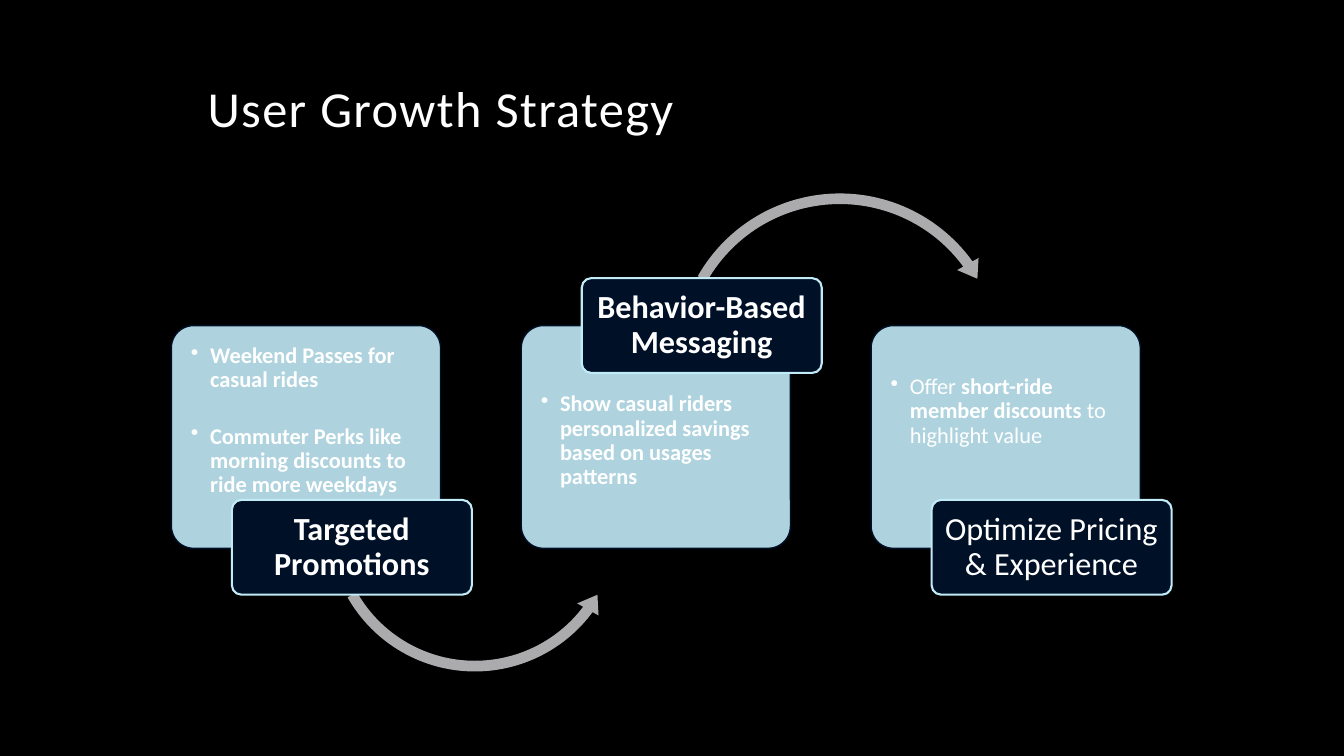
from lxml import etree
from pptx import Presentation
from pptx.dml.color import RGBColor
from pptx.enum.shapes import MSO_SHAPE
from pptx.enum.text import MSO_ANCHOR, PP_ALIGN
from pptx.oxml.ns import qn
from pptx.util import Inches, Pt

ROUND_RECT = MSO_SHAPE.ROUNDED_RECTANGLE
TOP, MIDDLE, BOTTOM = MSO_ANCHOR.TOP, MSO_ANCHOR.MIDDLE, MSO_ANCHOR.BOTTOM
LEFT, CENTER = PP_ALIGN.LEFT, PP_ALIGN.CENTER

BLACK = RGBColor(0x00, 0x00, 0x00)
WHITE = RGBColor(0xFF, 0xFF, 0xFF)
NAVY = RGBColor(0x00, 0x10, 0x27)
ICE = RGBColor(0xC1, 0xEB, 0xF7)
GRAY = RGBColor(0xAB, 0xAB, 0xAD)

# Content: each paragraph is a list of (text, bold) runs
TITLE = "User Growth Strategy"
STEPS = [
    {"label": ("Targeted Promotions", True), "label_top": 4.96, "text_inset": 0.12,
     "bullets": [[("Weekend Passes for casual rides", True)],
                 [("Commuter Perks like morning discounts to ride more weekdays", True)]]},
    {"label": ("Behavior-Based Messaging", True), "label_top": 2.76, "text_inset": 0.6,
     "bullets": [[("Show casual riders personalized savings based on usages patterns", True)]]},
    {"label": ("Optimize Pricing & Experience", False), "label_top": 4.96, "text_inset": 0.43,
     "bullets": [[("Offer ", False), ("short-ride member discounts", True),
                  (" to highlight value", False)]]},
]
# Arrow leaving each step: shape, left, top, size, adjustments
ARROWS = [
    (MSO_SHAPE.LEFT_CIRCULAR_ARROW, 3.19, 3.69, 3.04, (0.035, 4.277, 22.032, 90.245, 0.04)),
    (MSO_SHAPE.CIRCULAR_ARROW, 6.64, 1.85, 3.38, (0.031, 3.813, 194.431, 125.755, 0.036)),
]

# Layout
PANEL_LEFT, PANEL_TOP, PANEL_W, PANEL_H = 1.7, 3.23, 2.67, 2.21
STEP_PITCH = 3.47
LABEL_SHIFT, LABEL_W, LABEL_H = 0.6, 2.38, 0.94
BULLET_INDENT = Inches(0.19)
BULLET_GAP = Pt(23)


def add_box(shape_type, left, top, width, height, fill, line=None, line_width=1):
    sp = slide.shapes.add_shape(shape_type, Inches(left), Inches(top),
                                Inches(width), Inches(height))
    sp.shadow.inherit = False
    sp.fill.solid()
    sp.fill.fore_color.rgb = fill
    if line is None:
        sp.line.fill.background()
    else:
        sp.line.color.rgb = line
        sp.line.width = Pt(line_width)
    return sp


def write(sp, paragraphs, size, align, anchor, insets, bullet=False):
    tf = sp.text_frame
    left, top, right, bottom = (Inches(v) for v in insets)
    frame_format = {"word_wrap": True, "vertical_anchor": anchor,
                    "margin_left": left, "margin_top": top,
                    "margin_right": right, "margin_bottom": bottom}
    for name, value in frame_format.items():
        setattr(tf, name, value)
    for i, runs in enumerate(paragraphs):
        p = tf.add_paragraph() if i else tf.paragraphs[0]
        p.alignment = align
        p.line_spacing = 0.9
        if i:
            p.space_before = BULLET_GAP
        if bullet:
            pPr = p._p.get_or_add_pPr()
            pPr.set("marL", str(BULLET_INDENT))
            pPr.set("indent", str(-BULLET_INDENT))
            etree.SubElement(pPr, qn("a:buChar"), char="•")
        for text, bold in runs:
            r = p.add_run()
            r.text = text
            font_format = {"name": "Calibri", "size": Pt(size), "bold": bold}
            for name, value in font_format.items():
                setattr(r.font, name, value)
            r.font.color.rgb = WHITE


prs = Presentation()
prs.slide_width, prs.slide_height = Inches(13.33), Inches(7.5)
slide = prs.slides.add_slide(prs.slide_layouts[6])
slide.background.fill.solid()
slide.background.fill.fore_color.rgb = BLACK

# Title
title = slide.shapes.add_textbox(Inches(1.96), Inches(0.42), Inches(9.42), Inches(1))
write(title, [[(TITLE, False)]], 36, LEFT, BOTTOM, (0.1, 0.05, 0.1, 0.05))
title.text_frame.paragraphs[0].runs[0].font._element.set("spc", "100")

for i, step in enumerate(STEPS):
    left = PANEL_LEFT + i * STEP_PITCH

    # Panel with bullets
    panel = add_box(ROUND_RECT, left, PANEL_TOP, PANEL_W, PANEL_H, ICE, NAVY)
    panel.adjustments[0] = 0.1
    color = panel._element.spPr.find(qn("a:solidFill"))[0]
    etree.SubElement(color, qn("a:alpha"), val="90000")
    write(panel, step["bullets"], 16, LEFT, TOP,
          (0.13, step["text_inset"], 0.13, 0.05), bullet=True)

    # Arrow to the next step
    if i < len(ARROWS):
        shape_type, x, y, size, adjustments = ARROWS[i]
        arrow = add_box(shape_type, x, y, size, size, GRAY)
        for n, value in enumerate(adjustments):
            arrow.adjustments[n] = value

    # Label
    label = add_box(ROUND_RECT, left + LABEL_SHIFT, step["label_top"],
                    LABEL_W, LABEL_H, NAVY, ICE, 1.5)
    label.adjustments[0] = 0.1
    write(label, [[step["label"]]], 23, CENTER, MIDDLE, (0.05, 0.03, 0.05, 0.03))

prs.save("out.pptx")
